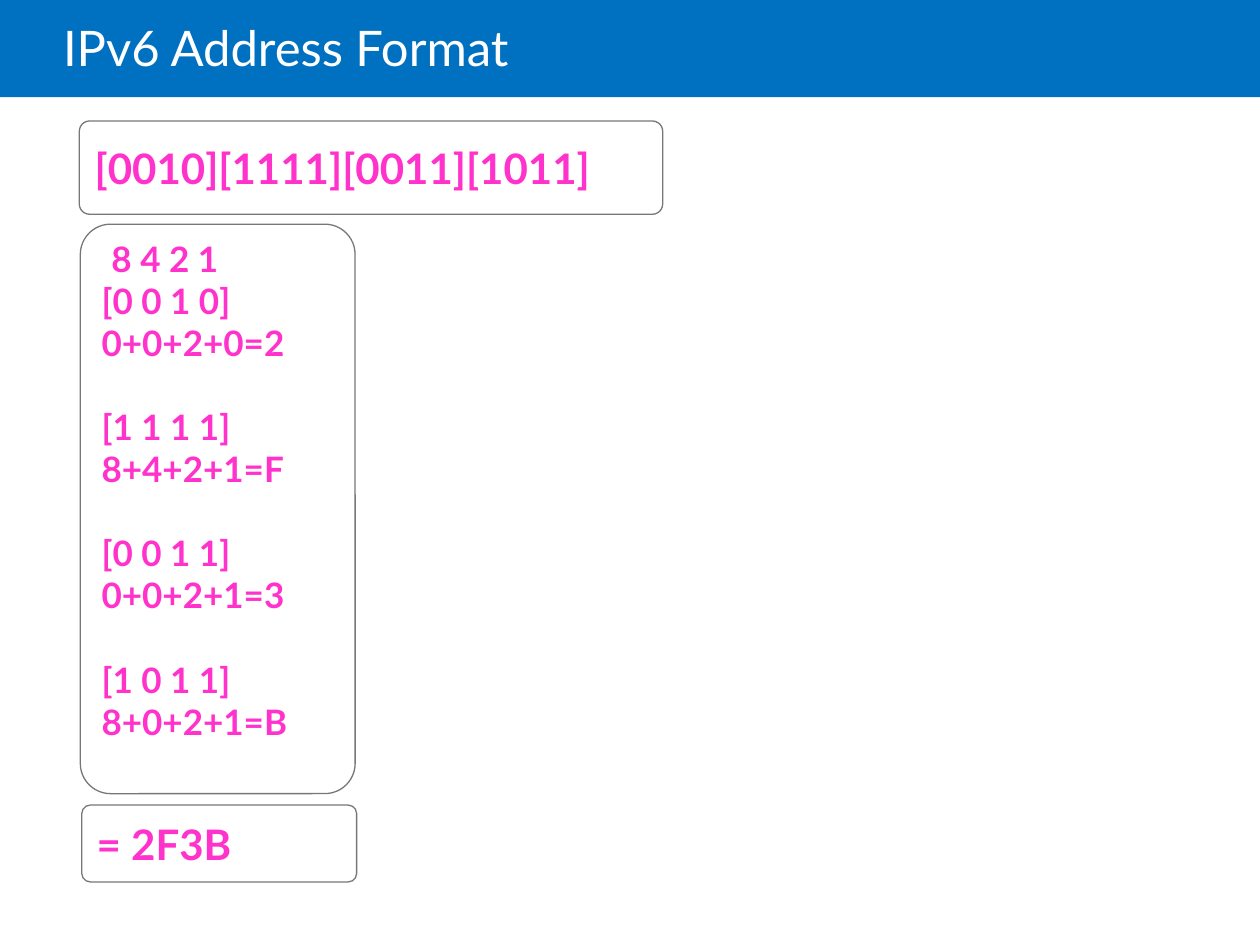
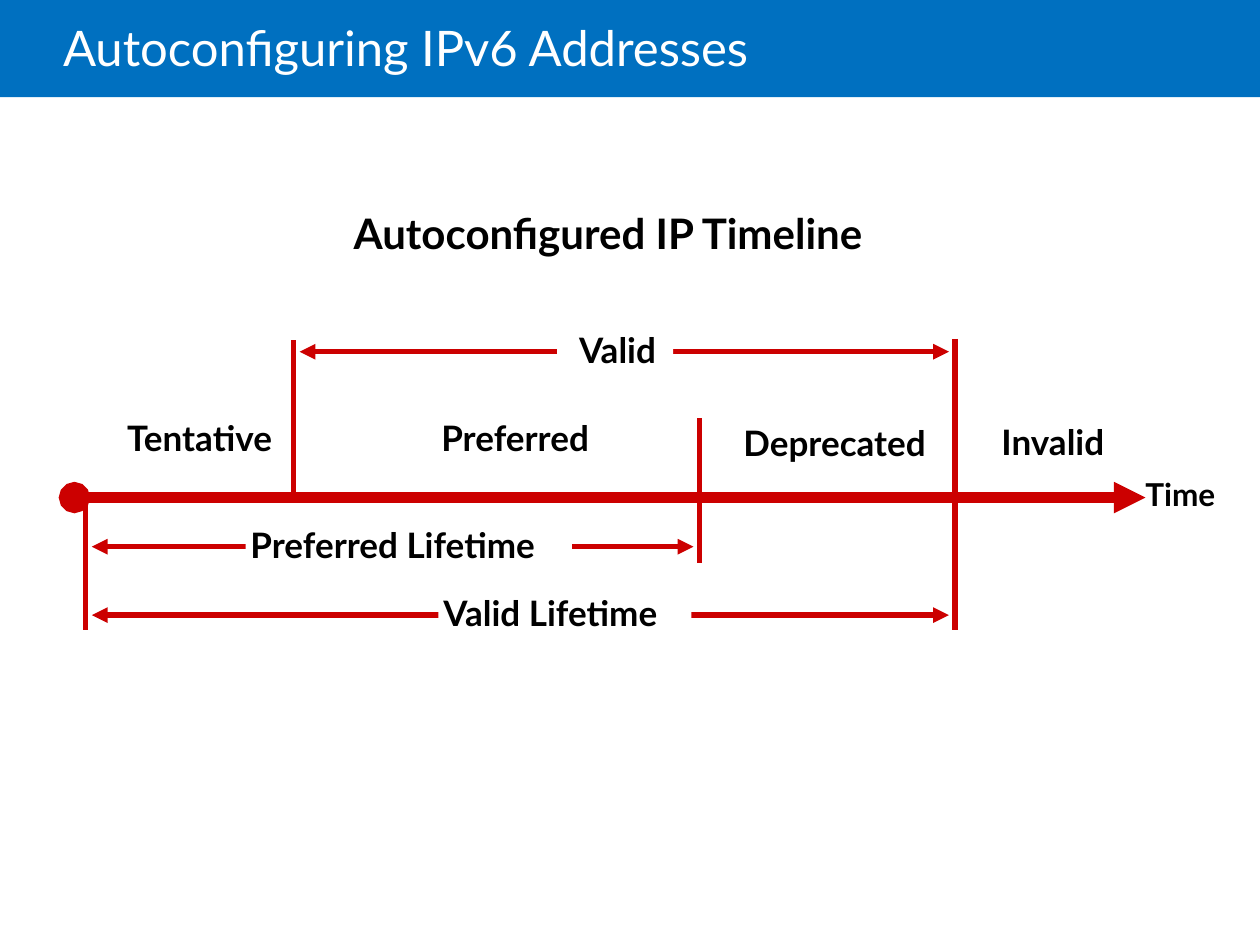
from dataclasses import dataclass

from lxml.etree import SubElement
from pptx import Presentation
from pptx.dml.color import RGBColor
from pptx.enum.shapes import MSO_CONNECTOR as Connector, MSO_SHAPE as Preset
from pptx.enum.text import MSO_ANCHOR as Anchor, PP_ALIGN as Align
from pptx.oxml.ns import qn
from pptx.util import Cm, Pt


@dataclass(frozen=True)
class Theme:
    font: str = "Lato"
    band: RGBColor = RGBColor(0x00, 0x70, 0xC0)
    white: RGBColor = RGBColor(0xFF, 0xFF, 0xFF)
    black: RGBColor = RGBColor(0x00, 0x00, 0x00)
    digits: RGBColor = RGBColor(0xFF, 0x33, 0xCC)
    outline: RGBColor = RGBColor(0x77, 0x77, 0x77)
    timeline: RGBColor = RGBColor(0xCC, 0x00, 0x00)
    title_size: int = 28
    large: int = 24
    medium: int = 20
    small: int = 18


THEME = Theme()

# Lengths in the content are centimetres.
FORMAT_TITLE = "IPv6 Address Format"
ADDRESS_BITS = "[0010][1111][0011][1011]"
BIT_WEIGHTS = "8 4 2 1"
NIBBLES = [
    ("[0 0 1 0]", "0+0+2+0=2"),
    ("[1 1 1 1]", "8+4+2+1=F"),
    ("[0 0 1 1]", "0+0+2+1=3"),
    ("[1 0 1 1]", "8+0+2+1=B"),
]
HEX_RESULT = "= 2F3B"

AUTOCONFIG_TITLE = "Autoconfiguring IPv6 Addresses"
TIMELINE_HEADING = "Autoconfigured IP Timeline"
AXIS_LABEL = "Time"
AXIS_Y = 10.03
AXIS_ENDS = (1.5, 23.09)
MOMENTS = {"start": 1.73, "assigned": 5.92, "deprecated": 14.1, "expired": 19.25}
TICKS = [  # moment, top, bottom
    ("start", AXIS_Y, 12.7),
    ("assigned", 6.86, AXIS_Y),
    ("deprecated", 8.43, 11.35),
    ("expired", 6.83, 12.7),
]
SPANS = [  # label, first moment, last moment, y, label left, label width, alignment
    ("Valid", "assigned", "expired", 7.09, 11.23, 2.34, Align.CENTER),
    ("Preferred Lifetime", "start", "deprecated", 11.02, 4.95, 6.58, Align.LEFT),
    ("Valid Lifetime", "start", "expired", 12.4, 8.84, 5.1, Align.LEFT),
]
PHASES = [  # label, left, middle, width
    ("Tentative", 1.7, 8.88, 4.4),
    ("Preferred", 8.26, 8.88, 4),
    ("Deprecated", 14.5, 8.98, 4.4),
    ("Invalid", 18.9, 8.95, 4.4),
]
SPAN_GAP = 0.12
LABEL_HEIGHT = 0.96
PHASE_HEIGHT = 0.8


def style(paragraph, size, color, bold=True, align=Align.LEFT):
    paragraph.alignment = align
    for run in paragraph.runs:
        run.font.name = THEME.font
        run.font.size = Pt(size)
        run.font.bold = bold
        run.font.color.rgb = color


def set_margins(frame, left, top, right, bottom):
    frame.margin_left, frame.margin_top = Cm(left), Cm(top)
    frame.margin_right, frame.margin_bottom = Cm(right), Cm(bottom)


def add_titled_slide(deck, title_text):
    slide = deck.slides.add_slide(deck.slide_layouts[5])
    title = slide.shapes.title
    title.left, title.top, title.width, title.height = map(Cm, (1.27, 0, 21.59, 2.06))
    frame = title.text_frame
    frame.text = title_text
    frame.vertical_anchor = Anchor.MIDDLE
    set_margins(frame, 0, 0.13, 0.25, 0.13)
    frame.paragraphs[0].line_spacing = 0.85
    style(frame.paragraphs[0], THEME.title_size, THEME.white, bold=False)
    return slide


def add_filled(slide, preset, box, color):
    shape = slide.shapes.add_shape(preset, *map(Cm, box))
    shape.shadow.inherit = False
    shape.fill.solid()
    shape.fill.fore_color.rgb = color
    shape.line.fill.background()
    return shape


def move_band_to_master(deck, slide):
    """Draw the title band once, behind everything on every slide."""
    band = add_filled(slide, Preset.RECTANGLE, (0, 0, 25.4, 1.96), THEME.band)
    deck.slide_master.element.cSld.spTree.insert(2, band.element)


def add_card(slide, box, lines, size):
    card = add_filled(slide, Preset.ROUNDED_RECTANGLE, box, THEME.white)
    card.adjustments[0] = 0.11
    card.line.color.rgb = THEME.outline
    card.line.width = Pt(0.75)
    frame = card.text_frame
    frame.word_wrap = True
    frame.vertical_anchor = Anchor.MIDDLE
    frame.text = "\n".join(lines)
    for paragraph in frame.paragraphs:
        style(paragraph, size, THEME.digits)
    return frame


def add_label(slide, text, box, size=THEME.medium, align=Align.LEFT,
              inset=0.1, spacing=1.0, backed=False):
    label = slide.shapes.add_textbox(*map(Cm, box))
    if backed:
        label.fill.solid()
        label.fill.fore_color.rgb = THEME.white
    frame = label.text_frame
    frame.word_wrap = True
    frame.vertical_anchor = Anchor.MIDDLE
    set_margins(frame, inset, 0.05, 0, 0.05)
    frame.text = text
    frame.paragraphs[0].line_spacing = spacing
    style(frame.paragraphs[0], size, THEME.black, align=align)


def add_line(slide, start, end, width=3, head=None, tail=None):
    line = slide.shapes.add_connector(Connector.STRAIGHT, *map(Cm, (*start, *end)))
    line.line.color.rgb = THEME.timeline
    line.line.width = Pt(width)
    properties = line.element.spPr
    outline = properties.find(qn("a:ln"))
    for tag, kind in (("a:headEnd", head), ("a:tailEnd", tail)):
        if kind:
            SubElement(outline, qn(tag), type=kind)
    SubElement(properties, qn("a:effectLst"))


def fill_format_slide(slide):
    add_card(slide, (1.6, 2.44, 11.76, 1.88), [ADDRESS_BITS], THEME.large)
    steps = [BIT_WEIGHTS] + [line for nibble in NIBBLES for line in nibble]
    working = add_card(slide, (1.62, 4.52, 5.54, 11.48), steps, THEME.medium)
    working.margin_bottom = Cm(0.89)
    weights, *nibble_lines = working.paragraphs
    weights_properties = weights._p.get_or_add_pPr()
    weights_properties.set("marL", str(Cm(0.2)))
    weights_properties.set("indent", "0")
    for bits in nibble_lines[2::2]:
        bits.space_before = Pt(24)
    add_card(slide, (1.65, 16.23, 5.54, 1.55), [HEX_RESULT], THEME.large)


def fill_timeline_slide(slide):
    add_label(slide, TIMELINE_HEADING, (6.88, 4.14, 11.35, 1.12), THEME.large, inset=0.25)
    for moment, top, bottom in TICKS:
        add_line(slide, (MOMENTS[moment], top), (MOMENTS[moment], bottom))
    for text, first, last, y, left, width, align in SPANS:
        add_line(slide, (MOMENTS[first] + SPAN_GAP, y), (MOMENTS[last] - SPAN_GAP, y),
                 head="triangle", tail="triangle")
        add_label(slide, text, (left, y - 0.53, width, LABEL_HEIGHT), align=align, backed=True)
    for text, left, middle, width in PHASES:
        add_label(slide, text, (left, middle - PHASE_HEIGHT / 2, width, PHASE_HEIGHT),
                  align=Align.CENTER, inset=0.25, spacing=0.9)
    axis_start, axis_end = AXIS_ENDS
    add_line(slide, (axis_start, AXIS_Y), (axis_end, AXIS_Y), 6, "oval", "triangle")
    add_label(slide, AXIS_LABEL, (22.99, 9.53, 1.75, 0.86), THEME.small)


def main():
    deck = Presentation()
    deck.slide_width, deck.slide_height = Cm(25.4), Cm(19.05)
    format_slide = add_titled_slide(deck, FORMAT_TITLE)
    move_band_to_master(deck, format_slide)
    fill_format_slide(format_slide)
    fill_timeline_slide(add_titled_slide(deck, AUTOCONFIG_TITLE))
    deck.save("out.pptx")


if __name__ == "__main__":
    main()
